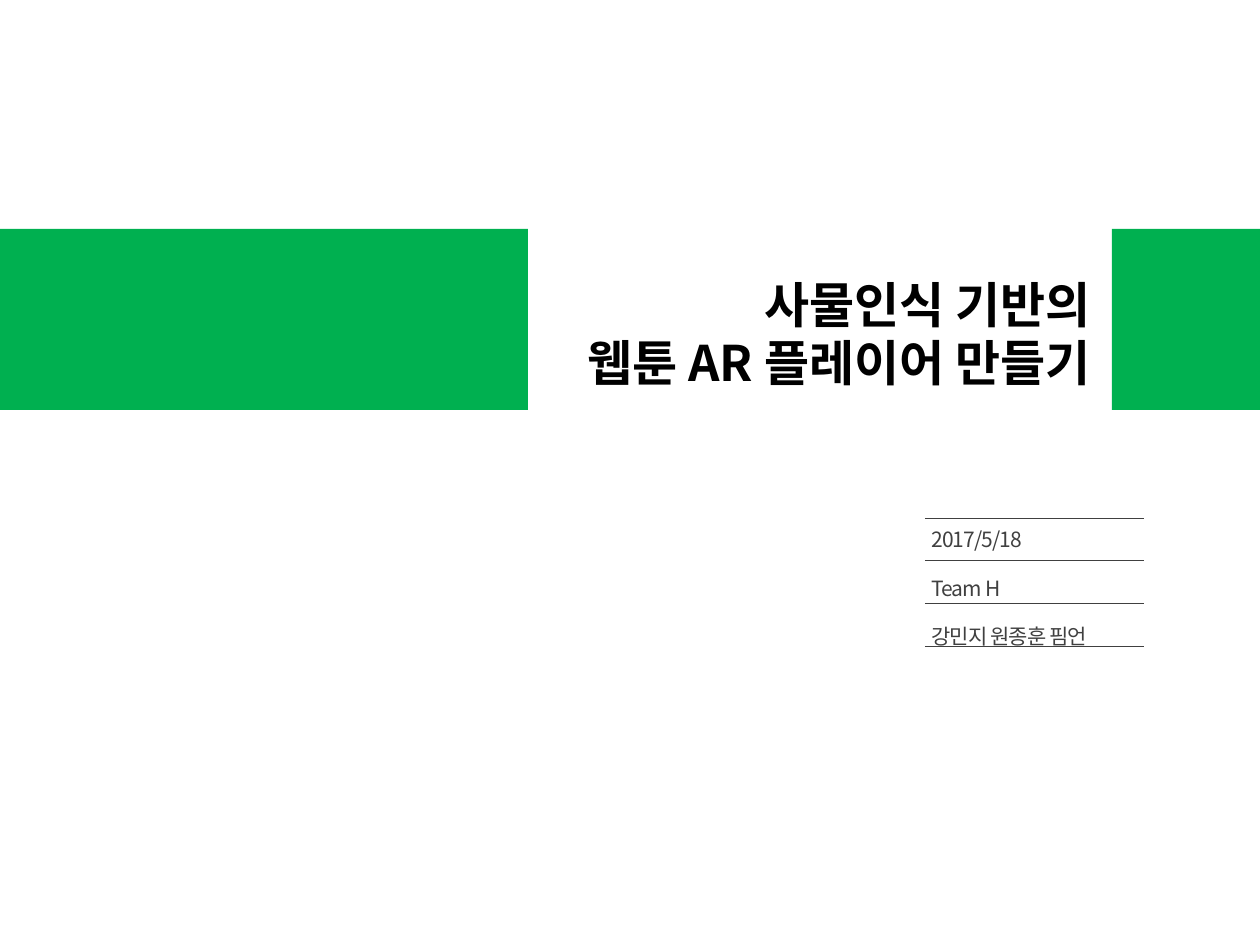
"""Build the title slide: green band, right-aligned title and ruled team details."""
from lxml.etree import SubElement
from pptx import Presentation
from pptx.dml.color import RGBColor
from pptx.enum.shapes import MSO_CONNECTOR, MSO_SHAPE
from pptx.enum.text import PP_ALIGN
from pptx.oxml.ns import qn
from pptx.util import Emu, Pt

PX = 914400 // 126
FONT = "Noto Sans CJK KR"
GREEN = RGBColor(0x00, 0xB0, 0x50)
BLACK = RGBColor(0x00, 0x00, 0x00)
GRAY = RGBColor(0x40, 0x40, 0x40)


def px(*lengths):
    return [Emu(length * PX) for length in lengths]


def add_text(page, text, *, at, size, color, bold=False, align=PP_ALIGN.LEFT,
             line_spacing=1.0, space_before=0, tracking=0):
    box = page.shapes.add_textbox(*px(*at))
    frame = box.text_frame
    frame.word_wrap = True
    frame.text = text
    for index, para in enumerate(frame.paragraphs):
        para.alignment = align
        para.line_spacing = line_spacing
        para.space_before = Pt(space_before if index else 0)
        for span in para.runs:
            span.font.name = FONT
            span.font.size = Pt(size)
            span.font.bold = bold
            span.font.color.rgb = color
            props = span._r.get_or_add_rPr()
            props.set("kern", "1200")
            props.set("spc", str(tracking))
            SubElement(props, qn("a:ea")).set("typeface", FONT)


deck = Presentation()
deck.slide_width, deck.slide_height = px(1260, 945)
page = deck.slides.add_slide(deck.slide_layouts[6])

for left, width in ((1112, 292), (-18, 546)):
    band = page.shapes.add_shape(MSO_SHAPE.RECTANGLE, *px(left, 229, width, 181))
    band.shadow.inherit = False
    band.fill.solid()
    band.fill.fore_color.rgb = GREEN
    band.line.fill.background()

add_text(page, "사물인식 기반의 \v웹툰 AR 플레이어 만들기 ", at=(129, 268, 985, 200),
         size=28, color=BLACK, bold=True, align=PP_ALIGN.RIGHT)
add_text(page, "2017/5/18\nTeam H\n강민지 원종훈 핌언", at=(919, 508, 297, 242),
         size=12, color=GRAY, line_spacing=1.5, space_before=6, tracking=-50)

for row in range(4):
    y = 518 + 128 * row // 3
    rule = page.shapes.add_connector(MSO_CONNECTOR.STRAIGHT, *px(925, y, 1144, y))
    rule.line.color.rgb = GRAY
    rule.line.width = Pt(0.25)
    SubElement(rule._element.spPr, qn("a:effectLst"))

deck.save("out.pptx")
